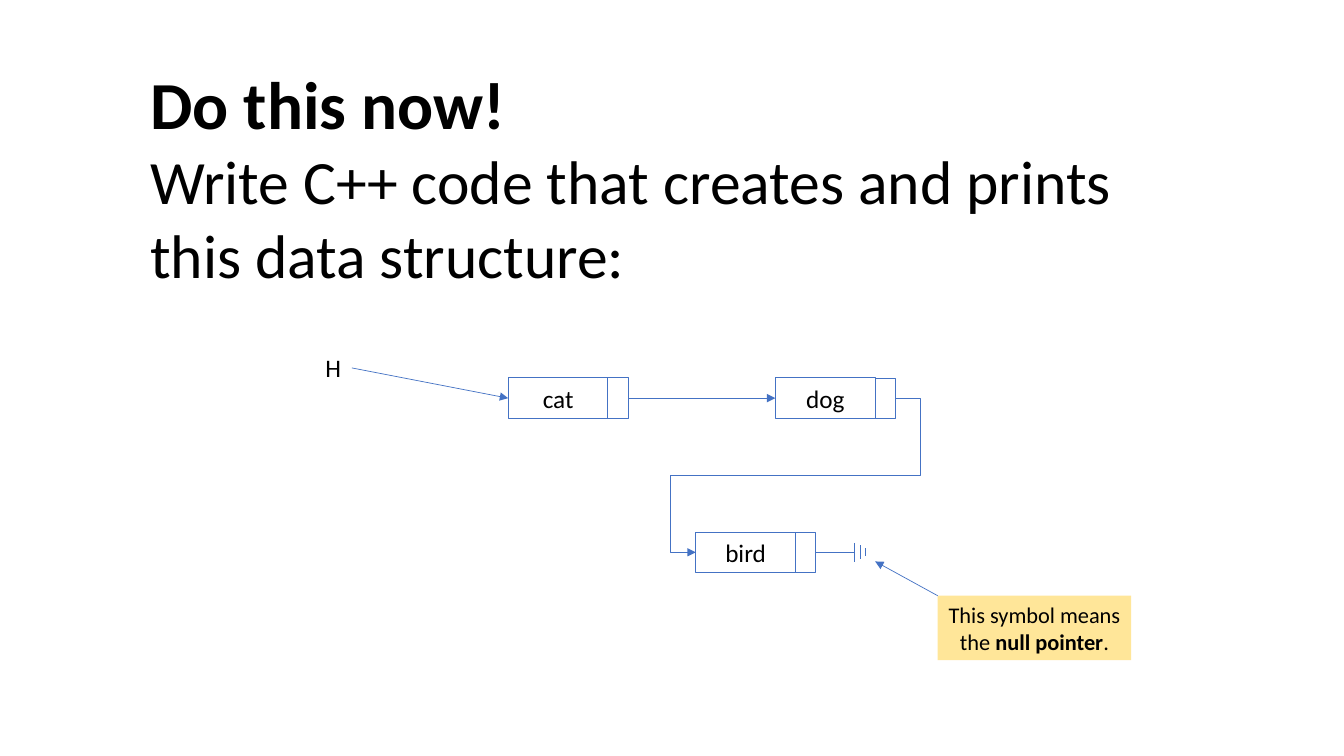
from lxml.etree import SubElement
from pptx import Presentation
from pptx.dml.color import RGBColor
from pptx.enum.shapes import MSO_CONNECTOR, MSO_SHAPE
from pptx.enum.text import MSO_ANCHOR, MSO_AUTO_SIZE, PP_ALIGN
from pptx.oxml.ns import qn
from pptx.util import Inches, Pt

BLACK = RGBColor(0x00, 0x00, 0x00)
BLUE = RGBColor(0x44, 0x72, 0xC4)
YELLOW = RGBColor(0xFF, 0xE6, 0x99)
FONT = "Calibri"

# Text runs: (text, size, bold); \v is a line break
TITLE = [("Do this now!\v", 48, True),
         ("Write C++ code that creates and prints\vthis data structure:", 44, False)]
NOTE = [("This symbol means the ", 16, False), ("null pointer", 16, True), (".", 16, False)]
HEAD = "H"
# Nodes: word, left, top, line width of the pointer cell
NODES = [("cat", 5.04, 3.75, 0.75), ("dog", 7.69, 3.75, 0.5), ("bird", 6.9, 5.28, 0.5)]
WORD_W, POINTER_W, NODE_H = 0.99, 0.2, 0.4
# Bars of the null symbol: x, height
NULL_BARS = [(8.47, 0.19), (8.53, 0.14), (8.58, 0.08)]
NULL_Y = 5.48
NOTE_X, NOTE_Y = 9.3, 5.91
ELBOW_BENDS = [-12700, 50000, 112700]

prs = Presentation()
prs.slide_width, prs.slide_height = Inches(13.33), Inches(7.5)
s = prs.slides.add_slide(prs.slide_layouts[5])


def write(shape, runs, align):
    tf = shape.text_frame
    p = tf.paragraphs[0]
    p.text = "".join(text for text, _, _ in runs) if len(runs) == 1 else ""
    p.alignment = align
    if len(runs) > 1:
        for text, _, _ in runs:
            for i, line in enumerate(text.split("\v")):
                if i:
                    p.add_line_break()
                if line:
                    p.add_run().text = line
    styles = [(size, bold) for text, size, bold in runs for line in text.split("\v") if line]
    for r, (size, bold) in zip(p.runs, styles):
        r.font.name, r.font.size, r.font.bold = FONT, Pt(size), bold
        r.font.color.rgb = BLACK


def box(x, y, w, h, line_width=None, fill=None):
    sp = s.shapes.add_shape(MSO_SHAPE.RECTANGLE, Inches(x), Inches(y), Inches(w), Inches(h))
    sp.shadow.inherit = False
    if fill:
        sp.fill.solid()
        sp.fill.fore_color.rgb = fill
    else:
        sp.fill.background()
    if line_width:
        sp.line.color.rgb = BLUE
        sp.line.width = Pt(line_width)
    else:
        sp.line.fill.background()
    return sp


def connect(start, end, arrow=True, kind=MSO_CONNECTOR.STRAIGHT):
    """Draw a line; each end is an (x, y) point or a (shape, side) pair."""
    points = [(0, 0) if hasattr(a, "shape_id") else (Inches(a), Inches(b)) for a, b in (start, end)]
    c = s.shapes.add_connector(kind, *points[0], *points[1])
    if hasattr(start[0], "shape_id"):
        c.begin_connect(*start)
    if hasattr(end[0], "shape_id"):
        c.end_connect(*end)
    c.line.color.rgb = BLUE
    c.line.width = Pt(0.5)
    if arrow:
        SubElement(c.line._get_or_add_ln(), qn("a:tailEnd"), type="triangle")
    SubElement(c._element.spPr, qn("a:effectLst"))
    return c


title = s.shapes.title
title.left, title.top, title.width, title.height = [Inches(v) for v in (1.39, 0.57, 9.98, 2.39)]
title.text_frame.word_wrap = True
title.text_frame.auto_size = MSO_AUTO_SIZE.NONE
title.text_frame.vertical_anchor = MSO_ANCHOR.TOP
write(title, TITLE, PP_ALIGN.LEFT)

words, pointers = [], []
for word, x, y, pointer_line in NODES:
    sp = box(x, y, WORD_W, NODE_H, 0.75)
    write(sp, [(word, 18, False)], PP_ALIGN.CENTER)
    words.append(sp)
    pointers.append(box(x + WORD_W, y, POINTER_W, NODE_H, pointer_line))
cat, dog, bird = words

head = s.shapes.add_textbox(Inches(3.13), Inches(3.45), Inches(0.36), Inches(0.4))
head.text_frame.word_wrap = True
write(head, [(HEAD, 18, False)], PP_ALIGN.LEFT)

connect((head, 3), (cat, 1))
connect((pointers[0], 3), (dog, 1))
elbow = connect((pointers[1], 3), (bird, 1), kind=MSO_CONNECTOR.ELBOW)
geom = elbow._element.spPr.find(qn("a:prstGeom"))
geom.set("prst", "bentConnector5")
bends = geom.find(qn("a:avLst"))
for i, bend in enumerate(ELBOW_BENDS, 1):
    SubElement(bends, qn("a:gd"), name=f"adj{i}", fmla=f"val {bend}")

connect((pointers[2], 3), (NULL_BARS[0][0], NULL_Y), arrow=False)
for x, h in NULL_BARS:
    connect((x, NULL_Y - h / 2), (x, NULL_Y + h / 2), arrow=False)

note = box(NOTE_X, NOTE_Y, 1.92, 0.64, fill=YELLOW)
note.text_frame.word_wrap = True
write(note, NOTE, PP_ALIGN.CENTER)
connect((NOTE_X, NOTE_Y), (8.68, 5.57))

prs.save("out.pptx")
